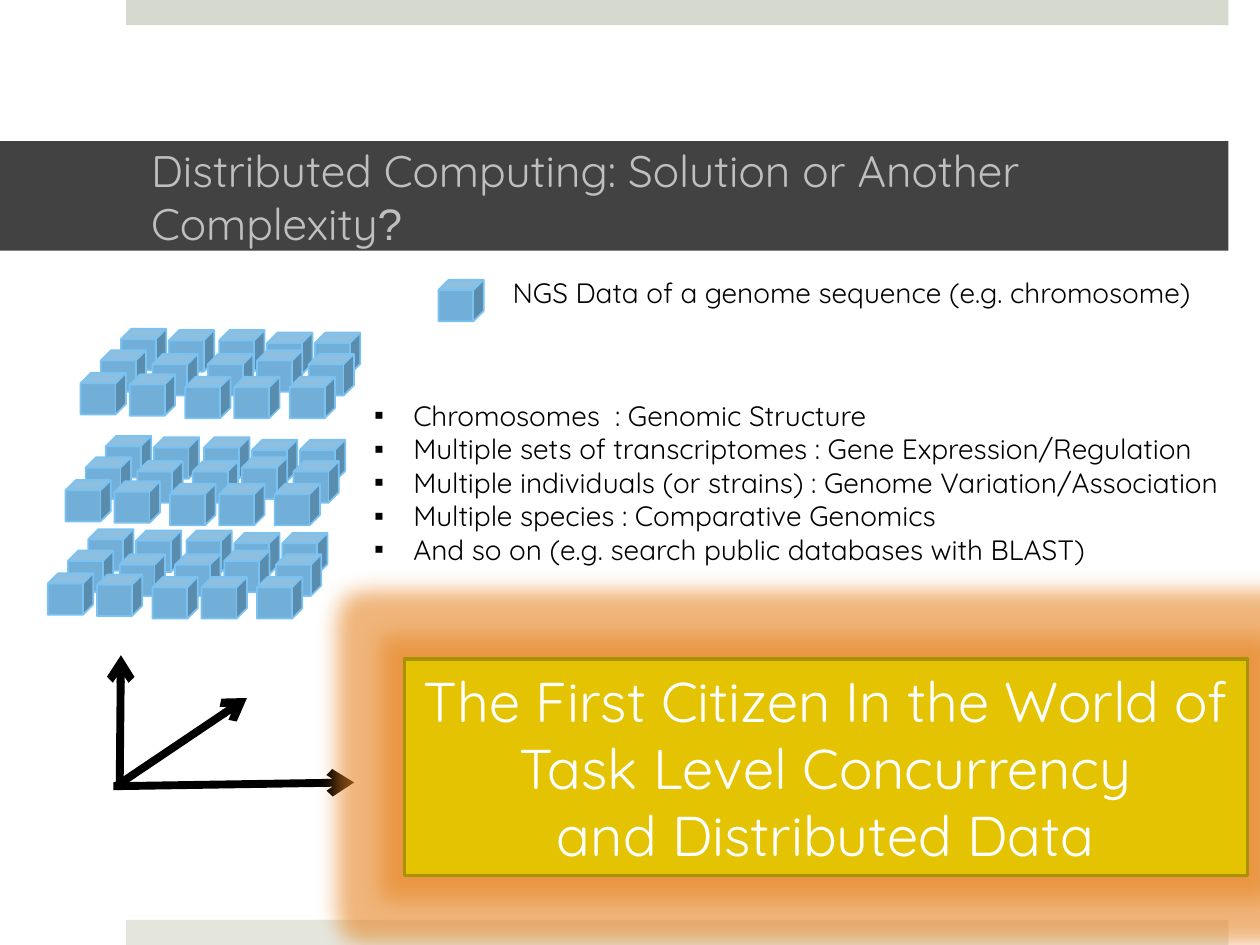
from dataclasses import dataclass
from typing import NamedTuple

from lxml import etree
from pptx import Presentation
from pptx.dml.color import RGBColor
from pptx.enum import shapes, text
from pptx.oxml import ns
from pptx.util import Inches, Pt


@dataclass(frozen=True)
class Theme:
    font: str = "Quicksand"
    symbol_font: str = "Arial"
    black: str = "000000"
    white: str = "FFFFFF"
    top_strip: str = "D6D9CD"
    bottom_strip: str = "E4E6DE"
    title_fill: str = "424242"
    title_text: str = "BFBFBF"
    cube_fill: str = "71AFD9"
    cube_line: str = "7AC2F2"
    callout_fill: str = "E4C402"
    callout_line: str = "A99101"
    glow: str = "E68422"
    title_size: float = 25.2
    body_size: float = 16
    callout_size: float = 32


class Point(NamedTuple):
    x: float
    y: float


class Box(NamedTuple):
    left: float
    top: float
    width: float
    height: float

    def lengths(self):
        return [Inches(value) for value in self]


THEME = Theme()
CUBE_SIZE = (0.36, 0.33)
LEGEND_CUBE = Point(3.48, 2.22)
LAYER_ORIGINS = [Point(0.64, 2.61), Point(0.52, 3.46), Point(0.38, 4.2)]
LAYER_CUBES = [
    Point(0.32, 0), Point(0.7, 0.01), Point(1.1, 0.01), Point(1.48, 0.03), Point(1.86, 0.03),
    Point(0.16, 0.17), Point(0.57, 0.2), Point(1.01, 0.2), Point(1.4, 0.17), Point(1.81, 0.2),
    Point(0, 0.35), Point(0.39, 0.36), Point(0.83, 0.38), Point(1.22, 0.38), Point(1.66, 0.38),
]
AXES = [
    (Point(0.9, 6.24), Point(2.81, 6.21)),
    (Point(0.92, 6.24), Point(1.96, 5.54)),
    (Point(0.95, 6.23), Point(0.96, 5.2)),
]
TOPICS = [
    "Chromosomes  : Genomic Structure",
    "Multiple sets of transcriptomes : Gene Expression/Regulation",
    "Multiple individuals (or strains) : Genome Variation/Association",
    "Multiple species : Comparative Genomics",
    "And so on (e.g. search public databases with BLAST)",
]
CALLOUT = [
    "The First Citizen In the World of",
    "Task Level Concurrency",
    "and Distributed Data",
]


def color(value: str) -> RGBColor:
    return RGBColor.from_string(value)


def add_preset(parent, kind, box: Box, fill: str, line: str | None = None, width: float = 1):
    shape = parent.add_shape(kind, *box.lengths())
    shape.shadow.inherit = False
    shape.fill.solid()
    shape.fill.fore_color.rgb = color(fill)
    if line:
        shape.line.color.rgb = color(line)
        shape.line.width = Pt(width)
    else:
        shape.line.fill.background()
    return shape


def add_cube(parent, point: Point) -> None:
    add_preset(parent, shapes.MSO_SHAPE.CUBE, Box(*point, *CUBE_SIZE),
               THEME.cube_fill, THEME.cube_line)


def add_layer(slide, origin: Point) -> None:
    group = slide.shapes.add_group_shape()
    for cube in LAYER_CUBES:
        add_cube(group.shapes, Point(origin.x + cube.x, origin.y + cube.y))


def add_axis(slide, start: Point, end: Point) -> None:
    connector = slide.shapes.add_connector(
        shapes.MSO_CONNECTOR.STRAIGHT, *[Inches(value) for value in (*start, *end)])
    connector.line.color.rgb = color(THEME.black)
    connector.line.width = Pt(4.5)
    etree.SubElement(connector.line._get_or_add_ln(), ns.qn("a:tailEnd"), type="arrow")
    etree.SubElement(connector._element.spPr, ns.qn("a:effectLst"))


def place(shape, box: Box) -> None:
    shape.left, shape.top, shape.width, shape.height = box.lengths()


def style_font(font, size: float, ink: str) -> None:
    font.name = THEME.font
    font.size = Pt(size)
    font.color.rgb = color(ink)


def write_lines(frame, lines: list[str], size: float, ink: str,
                align=text.PP_ALIGN.LEFT, bulleted: bool = False) -> None:
    for index, line in enumerate(lines):
        paragraph = frame.paragraphs[0] if index == 0 else frame.add_paragraph()
        paragraph.text = line
        paragraph.alignment = align
        paragraph.space_before = Pt(0)
        if bulleted:
            add_bullet(paragraph)
        style_font(paragraph.font, size, ink)


def add_bullet(paragraph) -> None:
    properties = paragraph._p.get_or_add_pPr()
    properties.set("marL", str(Inches(0.31)))
    properties.set("indent", str(-Inches(0.31)))
    etree.SubElement(properties, ns.qn("a:buFont"), typeface=THEME.symbol_font)
    etree.SubElement(properties, ns.qn("a:buChar"), char="▪")


def add_glow(shape, radius: float) -> None:
    effects = shape._element.spPr.find(ns.qn("a:effectLst"))
    glow = etree.SubElement(effects, ns.qn("a:glow"), rad=str(Inches(radius)))
    tint = etree.SubElement(glow, ns.qn("a:srgbClr"), val=THEME.glow)
    etree.SubElement(tint, ns.qn("a:alpha"), val="60000")


def fill_title(slide) -> None:
    title = slide.shapes.title
    place(title, Box(0, 1.12, 9.75, 0.87))
    title.fill.solid()
    title.fill.fore_color.rgb = color(THEME.title_fill)
    frame = title.text_frame
    frame.auto_size = text.MSO_AUTO_SIZE.NONE
    frame.vertical_anchor = text.MSO_ANCHOR.MIDDLE
    frame.margin_left, frame.margin_right = Inches(1.2), Inches(0.3)
    write_lines(frame, ["Distributed Computing: Solution or Another Complexity"],
                THEME.title_size, THEME.title_text)
    mark = frame.paragraphs[0].add_run()
    mark.text = "?"
    mark.font.name = THEME.symbol_font


def fill_topics(slide) -> None:
    body = slide.placeholders[1]
    place(body, Box(2.87, 3.11, 7.23, 1.45))
    frame = body.text_frame
    frame.auto_size = text.MSO_AUTO_SIZE.NONE
    write_lines(frame, TOPICS, THEME.body_size, THEME.black, bulleted=True)


def add_legend(slide) -> None:
    add_cube(slide.shapes, LEGEND_CUBE)
    label = slide.shapes.add_textbox(*Box(3.97, 2.14, 6.09, 0.37).lengths())
    label.text_frame.word_wrap = True
    write_lines(label.text_frame, ["NGS Data of a genome sequence (e.g. chromosome)"],
                THEME.body_size, THEME.black)


def add_callout(slide) -> None:
    callout = add_preset(slide.shapes, shapes.MSO_SHAPE.RECTANGLE, Box(3.21, 5.23, 6.69, 1.72),
                         THEME.callout_fill, THEME.callout_line, 2)
    add_glow(callout, 0.35)
    callout.text_frame.word_wrap = False
    write_lines(callout.text_frame, CALLOUT, THEME.callout_size, THEME.white,
                text.PP_ALIGN.CENTER)


def main() -> None:
    presentation = Presentation()
    presentation.slide_width, presentation.slide_height = Inches(10), Inches(7.5)
    slide = presentation.slides.add_slide(presentation.slide_layouts[1])
    for top, fill in ((0, THEME.top_strip), (7.3, THEME.bottom_strip)):
        add_preset(slide.shapes, shapes.MSO_SHAPE.RECTANGLE, Box(1, top, 8.75, 0.2), fill)
    fill_title(slide)
    add_legend(slide)
    for origin in LAYER_ORIGINS:
        add_layer(slide, origin)
    fill_topics(slide)
    for start, end in AXES:
        add_axis(slide, start, end)
    add_callout(slide)
    presentation.save("out.pptx")


if __name__ == "__main__":
    main()
